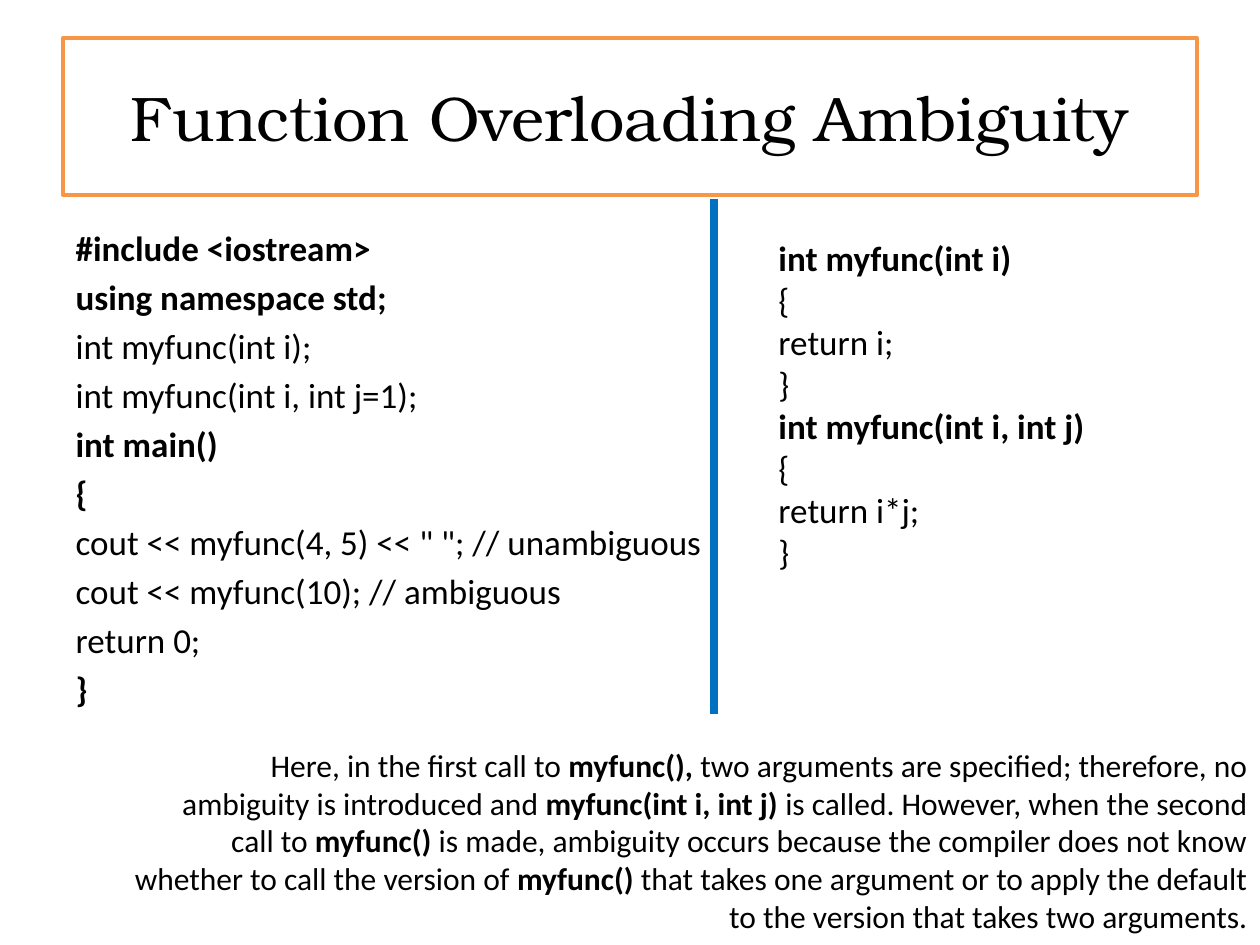
import pptx
import pptx.util
import pptx.dml.color
import pptx.enum.shapes
import pptx.enum.text
import pptx.oxml
import pptx.oxml.ns

Inches, Pt = pptx.util.Inches, pptx.util.Pt
RGBColor = pptx.dml.color.RGBColor
ALIGN = pptx.enum.text.PP_ALIGN

BLACK = RGBColor(0x00, 0x00, 0x00)
WHITE = RGBColor(0xFF, 0xFF, 0xFF)
ORANGE = RGBColor(0xF7, 0x96, 0x46)
BLUE = RGBColor(0x00, 0x70, 0xC0)
TITLE_FONT, BODY_FONT = "TeX Gyre Bonum", "Calibri"

# Each paragraph is a list of (text, bold) runs.
TITLE = [[("Function Overloading Ambiguity", False)]]
MAIN_CODE = [
    [("#include <iostream>", True)],
    [("using namespace std;", True)],
    [("int myfunc(int i);", False)],
    [("int myfunc(int i, int j=1);", False)],
    [("int main()", True)],
    [("{", True)],
    [('cout << myfunc(4, 5) << " "; // unambiguous', False)],
    [("cout << myfunc(10); // ambiguous", False)],
    [("return 0;", False)],
    [("}", True)],
]
FUNCTION_CODE = [
    [("int myfunc(int i)", True)],
    [("{", False)],
    [("return i;", False)],
    [("}", False)],
    [("int myfunc(int i, int j)", True)],
    [("{", False)],
    [("return i*j;", False)],
    [("}", False)],
]
EXPLANATION = [
    [("Here, in the first call to ", False), ("myfunc(), ", True),
     ("two arguments are specified; therefore, no", False)],
    [("ambiguity is introduced and ", False), ("myfunc(int i, int j) ", True),
     ("is called. However, when the second", False)],
    [("call to ", False), ("myfunc() ", True),
     ("is made, ambiguity occurs because the compiler does not know", False)],
    [("whether to call the version of ", False), ("myfunc() ", True),
     ("that takes one argument or to apply the default", False)],
    [("to the version that takes two arguments.", False)],
]


def place(shape, left, top, width, height):
    """Move and size a shape, in inches."""
    shape.left, shape.top = Inches(left), Inches(top)
    shape.width, shape.height = Inches(width), Inches(height)


def write(shape, paragraphs, size, font=BODY_FONT, align=ALIGN.LEFT):
    """Fill a shape with paragraphs, run by run."""
    frame = shape.text_frame
    frame.word_wrap = True
    frame.auto_size = pptx.enum.text.MSO_AUTO_SIZE.NONE
    for index, runs in enumerate(paragraphs):
        paragraph = frame.add_paragraph() if index else frame.paragraphs[0]
        paragraph.alignment = align
        for text, bold in runs:
            run = paragraph.add_run()
            run.text = text
            run.font.name, run.font.size = font, Pt(size)
            run.font.bold = bold
            run.font.color.rgb = BLACK


def remove_bullets(shape, space_before):
    """Set plain, unindented paragraphs with the given space before."""
    for paragraph in shape.text_frame.paragraphs:
        paragraph.space_before = Pt(space_before)
        properties = paragraph._p.get_or_add_pPr()
        properties.set("marL", "0")
        properties.set("indent", "0")
        properties.append(pptx.oxml.parse_xml(
            "<a:buNone %s/>" % pptx.oxml.ns.nsdecls("a")))


def add_text(slide, box, paragraphs, size, align=ALIGN.LEFT):
    """Add a wrapped text box."""
    textbox = slide.shapes.add_textbox(*map(Inches, box))
    write(textbox, paragraphs, size, align=align)
    textbox.text_frame.auto_size = pptx.enum.text.MSO_AUTO_SIZE.SHAPE_TO_FIT_TEXT


def add_divider(slide, x, top, bottom):
    """Draw the vertical line between the two code columns."""
    divider = slide.shapes.add_connector(
        pptx.enum.shapes.MSO_CONNECTOR.STRAIGHT,
        Inches(x), Inches(top), Inches(x), Inches(bottom))
    divider.line.color.rgb = BLUE
    divider.line.width = Pt(4.5)
    divider._element.spPr.append(pptx.oxml.parse_xml(
        "<a:effectLst %s/>" % pptx.oxml.ns.nsdecls("a")))


presentation = pptx.Presentation()
presentation.slide_width, presentation.slide_height = Inches(10), Inches(7.5)
slide = presentation.slides.add_slide(presentation.slide_layouts[1])

heading = slide.shapes.title
place(heading, 0.5, 0.3, 9, 1.25)
heading.fill.solid()
heading.fill.fore_color.rgb = WHITE
heading.line.color.rgb = ORANGE
heading.line.width = Pt(2)
write(heading, TITLE, 36, TITLE_FONT, ALIGN.CENTER)
heading.text_frame.vertical_anchor = pptx.enum.text.MSO_ANCHOR.MIDDLE

main_code = slide.placeholders[1]
place(main_code, 0.5, 1.75, 9, 4.95)
write(main_code, MAIN_CODE, 20)
remove_bullets(main_code, space_before=4)

add_divider(slide, 5.67, 1.58, 5.67)
add_text(slide, (6.08, 1.83, 3.42, 3.1), FUNCTION_CODE, 20)
add_text(slide, (0.25, 5.87, 9.75, 1.62), EXPLANATION, 18, ALIGN.RIGHT)

presentation.save("out.pptx")
